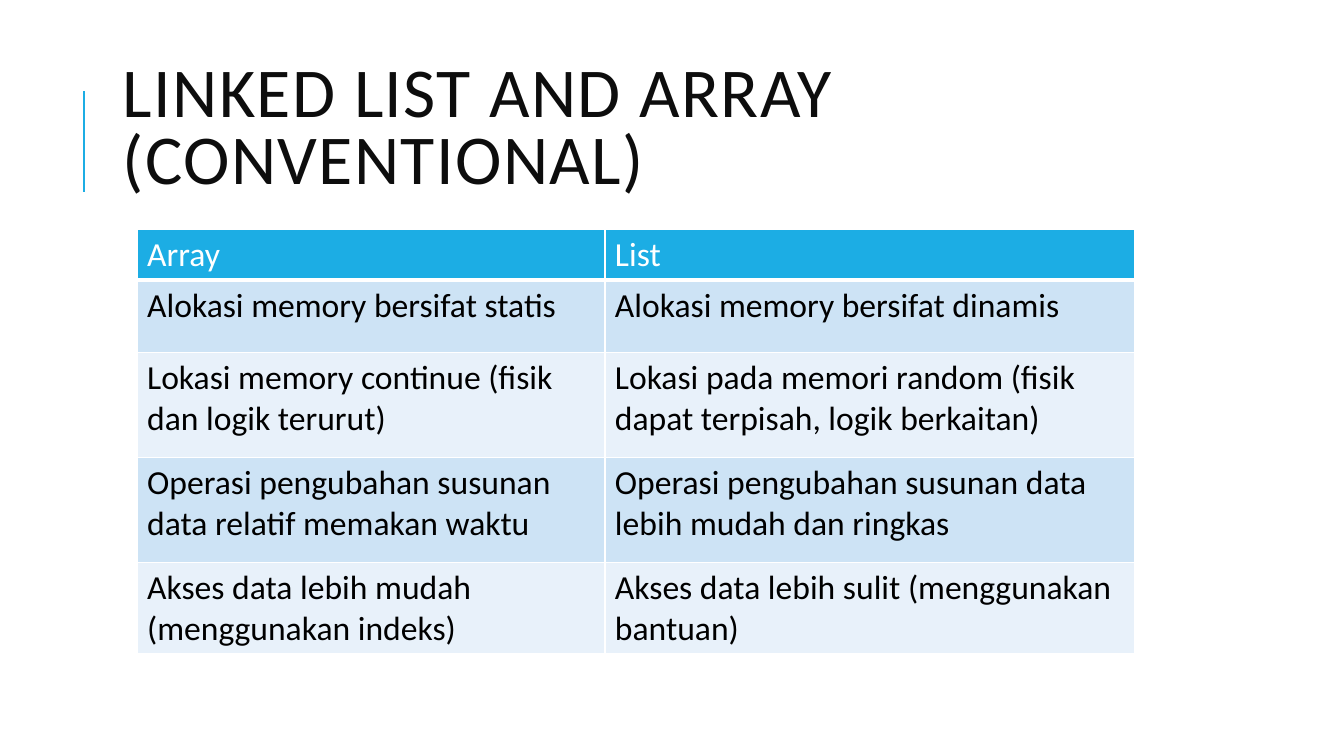
from lxml import etree
from pptx import Presentation
from pptx import util as u
from pptx.dml.color import RGBColor
from pptx.enum import shapes, text
from pptx.oxml import ns

BLUE = RGBColor(0x1C, 0xAD, 0xE4)
PALE = RGBColor(0xCD, 0xE3, 0xF5)
FAINT = RGBColor(0xE8, 0xF1, 0xFA)
WHITE = RGBColor(0xFF, 0xFF, 0xFF)
BLACK = RGBColor(0, 0, 0)
INK = RGBColor(0x0D, 0x0D, 0x0D)

ROWS = [
    ("Array", "List"),
    ("Alokasi memory bersifat statis", "Alokasi memory bersifat dinamis"),
    ("Lokasi memory continue (fisik dan logik terurut)",
     "Lokasi pada memori random (fisik dapat terpisah, logik berkaitan)"),
    ("Operasi pengubahan susunan data relatif memakan waktu",
     "Operasi pengubahan susunan data lebih mudah dan ringkas"),
    ("Akses data lebih mudah (menggunakan indeks)",
     "Akses data lebih sulit (menggunakan bantuan)"),
]


def px(n):
    return u.Emu(n * 9144)


class Deck:
    """Draws styled elements on one slide, at 100 px to the inch."""

    def __init__(self, font):
        self.font = font
        self.prs = Presentation()
        self.prs.slide_width, self.prs.slide_height = px(1333), px(750)
        self.slide = self.prs.slides.add_slide(self.prs.slide_layouts[6])

    def run(self, para, words, size, color):
        run = para.add_run()
        run.text = words
        font = run.font
        font.name, font.size, font.bold = self.font, u.Pt(size), False
        font.color.rgb = color
        return run

    def line(self, x1, y1, x2, y2, color, width):
        line = self.slide.shapes.add_connector(
            shapes.MSO_CONNECTOR.STRAIGHT, px(x1), px(y1), px(x2), px(y2))
        line.line.color.rgb = color
        line.line.width = u.Pt(width)
        etree.SubElement(line.element.spPr, ns.qn("a:effectLst"))

    def title(self, x, y, w, h, words):
        frame = self.slide.shapes.add_textbox(px(x), px(y), px(w), px(h)).text_frame
        frame.word_wrap = True
        frame.vertical_anchor = text.MSO_ANCHOR.MIDDLE
        para = frame.paragraphs[0]
        para.line_spacing = 0.8
        run = self.run(para, words, 50, INK)
        run.font.element.set("spc", "100") if hasattr(run.font, "element") else \
            para.runs[0]._r.get_or_add_rPr().set("spc", "100")

    def edge(self, cell, side, width):
        props = cell._tc.get_or_add_tcPr()
        edge = etree.SubElement(props, ns.qn("a:" + side), w=str(u.Pt(width)))
        fill = etree.SubElement(edge, ns.qn("a:solidFill"))
        etree.SubElement(fill, ns.qn("a:srgbClr"), val=str(WHITE))

    def table(self, x, y, cols, heights, rows):
        table = self.slide.shapes.add_table(
            len(rows), len(cols), px(x), px(y), px(sum(cols)), px(sum(heights))).table
        for col, w in zip(table.columns, cols):
            col.width = px(w)
        for i, (row, h) in enumerate(zip(table.rows, heights)):
            row.height = px(h)
            back = BLUE if i == 0 else PALE if i % 2 else FAINT
            for cell, words in zip(row.cells, rows[i]):
                for side in ("lnL", "lnR", "lnT", "lnB"):
                    thick = (i, side) in ((0, "lnB"), (1, "lnT"))
                    self.edge(cell, side, 3 if thick else 1)
                cell.fill.solid()
                cell.fill.fore_color.rgb = back
                self.run(cell.text_frame.paragraphs[0], words, 24,
                         BLACK if i else WHITE)


def main():
    deck = Deck("Calibri")
    deck.line(83, 190, 83, 90, BLUE, 1.5)
    deck.title(112, 64, 1063, 132, "LINKED LIST AND ARRAY (CONVENTIONAL)")
    deck.table(136, 228, (464, 525), (48, 72, 104, 104, 86), ROWS)
    deck.prs.save("out.pptx")


if __name__ == "__main__":
    main()
